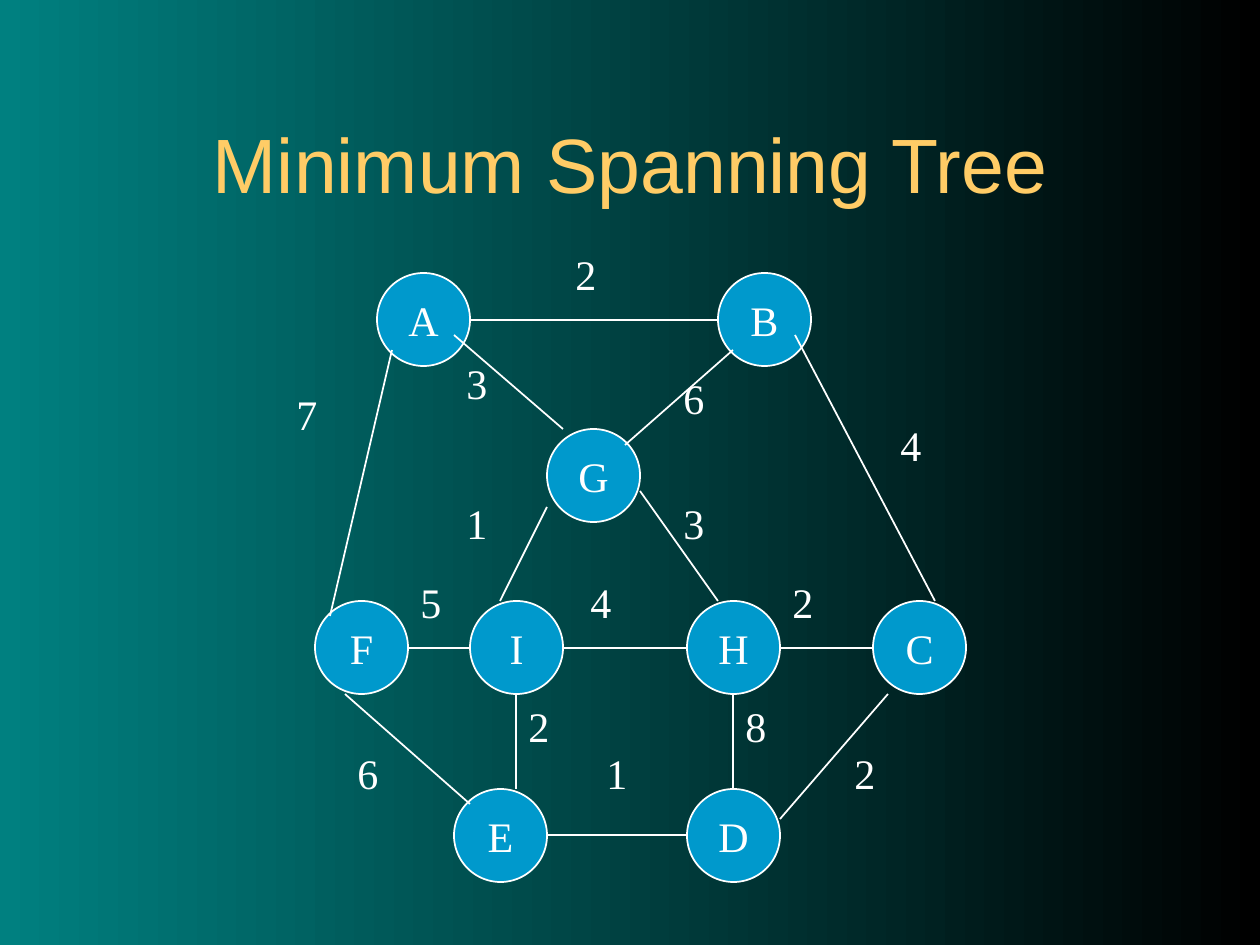
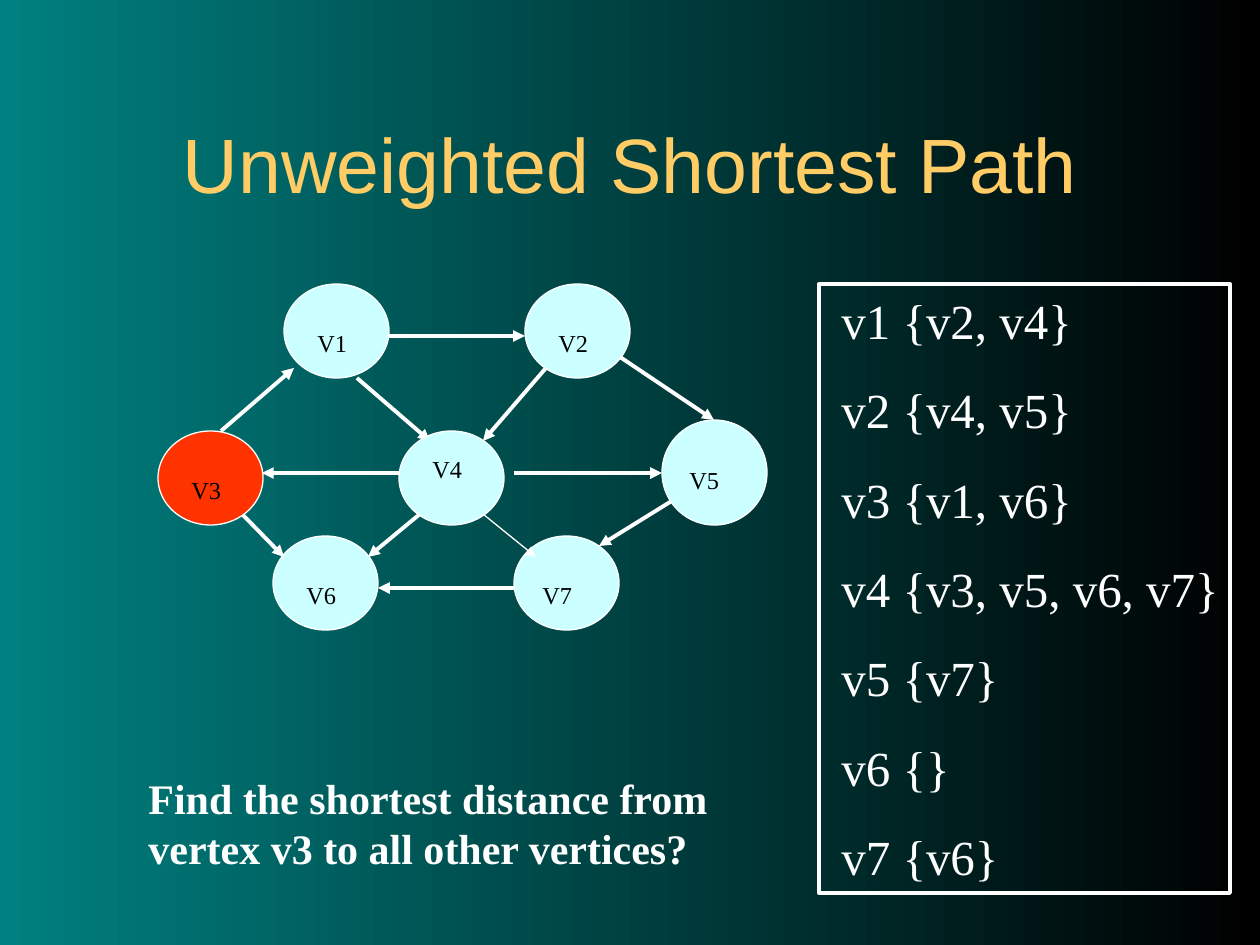
import pptx
import pptx.dml.color
import pptx.enum.shapes
import pptx.enum.text
import pptx.oxml.ns
import pptx.util
from lxml import etree

RGBColor = pptx.dml.color.RGBColor
MSO_SHAPE = pptx.enum.shapes.MSO_SHAPE
MSO_ANCHOR = pptx.enum.text.MSO_ANCHOR
PP_ALIGN = pptx.enum.text.PP_ALIGN
qn = pptx.oxml.ns.qn

EMU_PER_PX = 914400 / 126
TEAL = RGBColor(0x00, 0x80, 0x80)
BLACK = RGBColor(0x00, 0x00, 0x00)
WHITE = RGBColor(0xFF, 0xFF, 0xFF)
GOLD = RGBColor(0xFF, 0xCC, 0x66)
BLUE = RGBColor(0x00, 0x99, 0xCC)
PALE = RGBColor(0xCC, 0xFF, 0xFF)
RED = RGBColor(0xFF, 0x33, 0x00)
TITLE_FONT = "Arial"
BODY_FONT = "Times New Roman"

# Minimum spanning tree: node name -> left, top
TREE_NODE_SIZE = 93
TREE_NODES = {
    "A": (377, 273), "B": (718, 273), "G": (547, 429),
    "F": (315, 601), "I": (470, 601), "H": (687, 601), "C": (873, 601),
    "E": (454, 789), "D": (687, 789),
}
# start, end, weight, weight box left and top
TREE_EDGES = [
    ((470, 320), (718, 320), "2", (563, 242)),
    ((392, 350), (330, 616), "7", (284, 382)),
    ((454, 335), (563, 429), "3", (454, 351)),
    ((733, 350), (625, 445), "6", (671, 366)),
    ((795, 335), (935, 601), "4", (888, 413)),
    ((408, 648), (470, 648), "5", (408, 570)),
    ((780, 648), (873, 648), "2", (780, 570)),
    ((563, 648), (687, 648), "4", (578, 570)),
    ((345, 694), (470, 804), "6", (345, 741)),
    ((547, 507), (500, 601), "1", (454, 491)),
    ((640, 491), (718, 601), "3", (671, 491)),
    ((547, 835), (687, 835), "1", (594, 741)),
    ((888, 694), (780, 819), "2", (842, 741)),
    ((516, 694), (516, 789), "2", (516, 694)),
    ((733, 694), (733, 789), "8", (733, 694)),
]

# Shortest path: name, left, top, height, fill, label offset
PATH_NODE_WIDTH = 105
PATH_NODES = [
    ("V3", 158, 431, 94, RED, (21, 10)),
    ("V1", 284, 284, 94, PALE, (21, 10)),
    ("V6", 273, 536, 94, PALE, (21, 10)),
    ("V4", 399, 431, 94, PALE, (21, -11)),
    ("V2", 525, 284, 94, PALE, (21, 10)),
    ("V7", 514, 536, 94, PALE, (16, 10)),
    ("V5", 662, 420, 105, PALE, (15, 11)),
]
# start, end, width in points
ARROWS_BEHIND_NODES = [
    ((221, 431), (294, 368), 2.25),
    ((378, 336), (525, 336), 2.25),
    ((410, 473), (262, 473), 2.25),
    ((620, 357), (714, 420), 2.25),
    ((514, 473), (662, 473), 2.25),
    ((546, 368), (483, 441), 2.25),
    ((357, 378), (430, 441), 2.25),
    ((683, 494), (599, 546), 2.25),
    ((242, 514), (284, 557), 2.25),
]
ARROWS_OVER_NODES = [
    ((514, 588), (378, 588), 2.25),
    ((420, 514), (368, 557), 2.25),
    ((483, 514), (536, 557), 0.75),
]
ADJACENCY = ["v1 {v2, v4}", "v2 {v4, v5}", "v3 {v1, v6}", "v4 {v3, v5, v6, v7}",
             "v5 {v7}", "v6 {}", "v7 {v6}"]
QUESTION = "Find the shortest distance from vertex v3 to all other vertices?"


def px(*lengths):
    return [round(length * EMU_PER_PX) for length in lengths]


def format_text(text_frame, font_name, size, colour, bold=False):
    for paragraph in text_frame.paragraphs:
        for run in paragraph.runs:
            run.font.name = font_name
            run.font.size = pptx.util.Pt(size)
            run.font.color.rgb = colour
            run.font.bold = bold


def add_slide(presentation, title):
    slide = presentation.slides.add_slide(presentation.slide_layouts[5])
    shape = slide.shapes.title
    shape.left, shape.top, shape.width, shape.height = px(95, 84, 1071, 158)
    text_frame = shape.text_frame
    text_frame.text = title
    text_frame.vertical_anchor = MSO_ANCHOR.MIDDLE
    text_frame.paragraphs[0].alignment = PP_ALIGN.CENTER
    format_text(text_frame, TITLE_FONT, 44, GOLD)
    return slide


def add_outlined(slide, kind, box, fill, line_width):
    """Add a white-edged preset shape; no fill when fill is None."""
    shape = slide.shapes.add_shape(kind, *px(*box))
    shape.shadow.inherit = False
    if fill is None:
        shape.fill.background()
    else:
        shape.fill.solid()
        shape.fill.fore_color.rgb = fill
    shape.line.color.rgb = WHITE
    shape.line.width = pptx.util.Pt(line_width)
    return shape


def add_text(slide, box, lines, size=24, colour=WHITE, bold=False, space=0):
    text_frame = slide.shapes.add_textbox(*px(*box)).text_frame
    text_frame.word_wrap = True
    text_frame.text = "\n".join(lines)
    for paragraph in text_frame.paragraphs[1:]:
        paragraph.space_before = pptx.util.Pt(space)
    format_text(text_frame, BODY_FONT, size, colour, bold)
    return text_frame


def add_line(slide, start, end, width, arrow=False):
    connector = slide.shapes.add_connector(
        pptx.enum.shapes.MSO_CONNECTOR.STRAIGHT, *px(*start, *end))
    connector.line.color.rgb = WHITE
    connector.line.width = pptx.util.Pt(width)
    if arrow:
        etree.SubElement(connector.line._get_or_add_ln(), qn("a:tailEnd"), type="triangle")
    etree.SubElement(connector._element.spPr, qn("a:effectLst"))


def add_arrows(slide, arrows):
    for start, end, width in arrows:
        add_line(slide, start, end, width, arrow=True)


def build_spanning_tree(presentation):
    slide = add_slide(presentation, "Minimum Spanning Tree")
    for name, (left, top) in TREE_NODES.items():
        box = (left, top, TREE_NODE_SIZE, TREE_NODE_SIZE)
        text_frame = add_outlined(slide, MSO_SHAPE.OVAL, box, BLUE, 1).text_frame
        text_frame.text = name
        text_frame.word_wrap = False
        text_frame.vertical_anchor = MSO_ANCHOR.MIDDLE
        text_frame.paragraphs[0].alignment = PP_ALIGN.CENTER
        format_text(text_frame, BODY_FONT, 24, WHITE)
    for start, end, weight, (left, top) in TREE_EDGES:
        add_line(slide, start, end, 1)
        add_text(slide, (left, top, 77, 63), [weight])


def build_shortest_path(presentation):
    slide = add_slide(presentation, "Unweighted Shortest Path")
    add_arrows(slide, ARROWS_BEHIND_NODES)
    for name, left, top, height, fill, (shift_x, shift_y) in PATH_NODES:
        add_outlined(slide, MSO_SHAPE.OVAL, (left, top, PATH_NODE_WIDTH, height), fill, 0.75)
        label = add_text(slide, (left + shift_x, top + shift_y, 110, 71), [name], colour=BLACK)
        label.paragraphs[0].runs[0].font._element.set("baseline", "-25000")
    add_arrows(slide, ARROWS_OVER_NODES)
    add_text(slide, (829, 284, 420, 609), ADJACENCY, size=28, space=17.5)
    add_outlined(slide, MSO_SHAPE.RECTANGLE, (819, 284, 411, 609), None, 2.25)
    add_text(slide, (136, 766, 662, 113), [QUESTION], bold=True)


def main():
    presentation = pptx.Presentation()
    presentation.slide_width, presentation.slide_height = px(1260, 945)
    fill = presentation.slide_master.background.fill
    fill.gradient()
    fill.gradient_angle = 0
    for stop, colour in zip(fill.gradient_stops, (TEAL, BLACK)):
        stop.color.rgb = colour
    build_spanning_tree(presentation)
    build_shortest_path(presentation)
    presentation.save("out.pptx")


if __name__ == "__main__":
    main()
